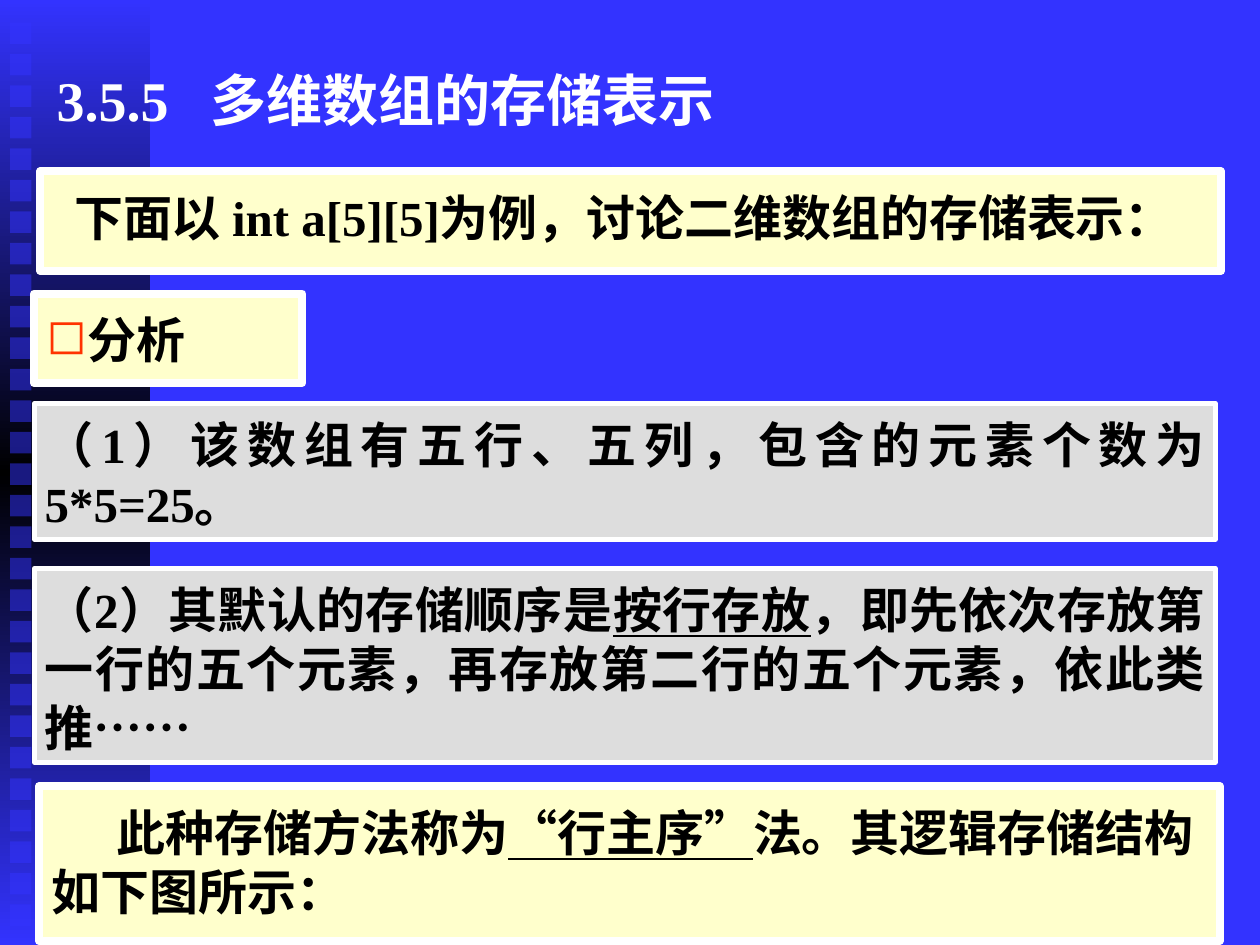
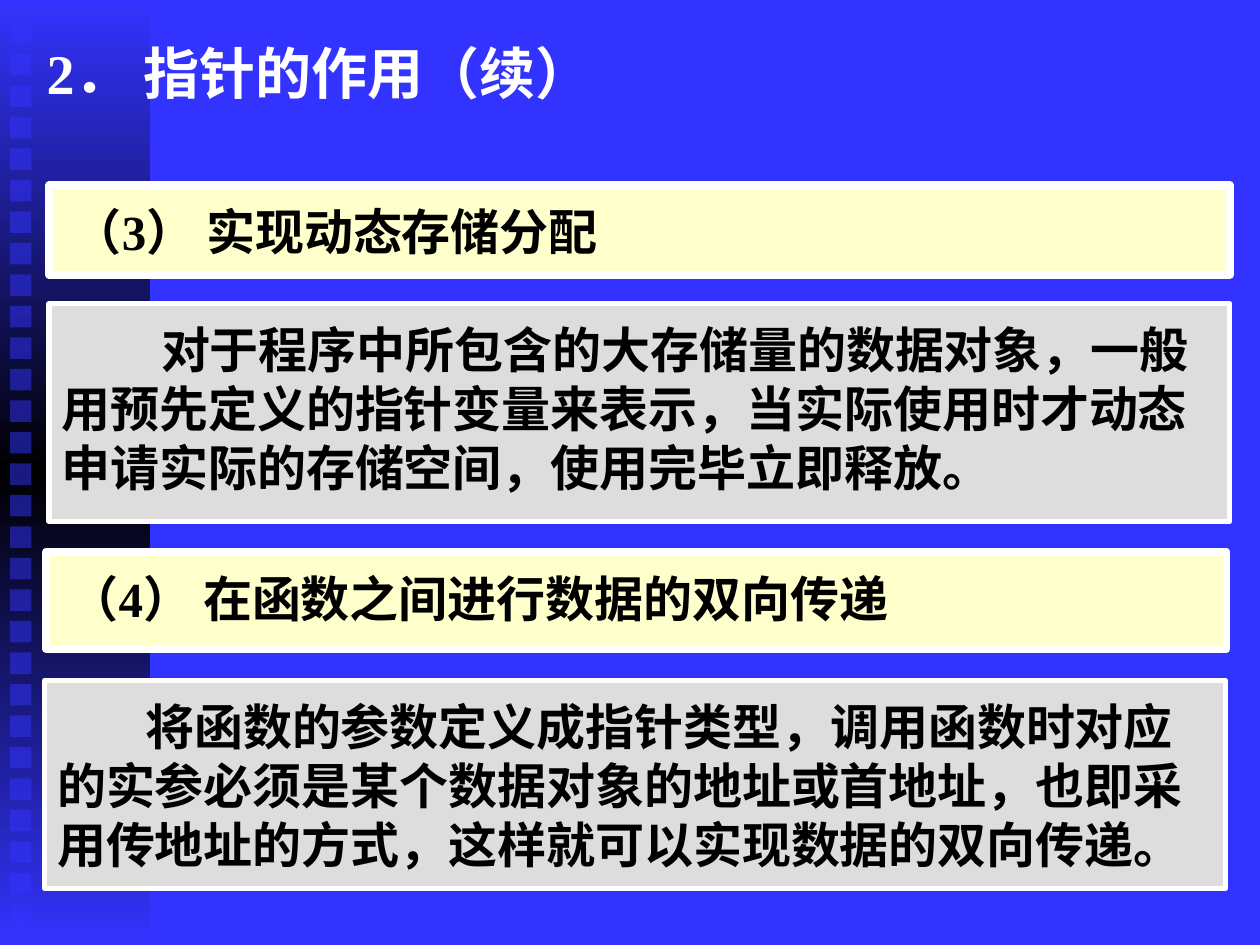
import copy
from dataclasses import dataclass
from typing import NamedTuple

import pptx
import pptx.dml.color
import pptx.enum.shapes
import pptx.enum.text
import pptx.oxml
import pptx.oxml.ns
import pptx.presentation
import pptx.slide
import pptx.util

BLUE = pptx.dml.color.RGBColor(0x33, 0x33, 0xFF)
BLACK = pptx.dml.color.RGBColor(0, 0, 0)
WHITE = pptx.dml.color.RGBColor(0xFF, 0xFF, 0xFF)
CREAM = pptx.dml.color.RGBColor(0xFF, 0xFF, 0xCC)
GRAY = pptx.dml.color.RGBColor(0xDD, 0xDD, 0xDD)
BULLET_RED = "FF3300"

FONT = "Times New Roman"
TITLE_SIZE, BODY_SIZE = 32, 28
WIDTH, HEIGHT = pptx.util.Inches(10), pptx.util.Inches(7.5)
COLUMNS, ROWS = 100, 75
CARD_WIDTH = 93.7
TITLE_ONLY = 5
RECT = pptx.enum.shapes.MSO_SHAPE.RECTANGLE
ALIGN = pptx.enum.text.PP_ALIGN
qn = pptx.oxml.ns.qn


class Box(NamedTuple):
    left: float
    top: float
    width: float
    height: float


class Piece(NamedTuple):
    text: str
    underline: bool = False


class Style(NamedTuple):
    fill: pptx.dml.color.RGBColor
    border: float
    inset_x: float
    inset_y: float


HEADING = Style(CREAM, 4.5, 1, 1.3)
BODY = Style(GRAY, 3, 1, 1.3)
NUMBERED = Style(GRAY, 3, 0.8, 0.9)


@dataclass
class Card:
    box: Box
    style: Style
    pieces: list[Piece]
    indent: float = 0
    justified: bool = False
    bullet: bool = False


@dataclass
class Page:
    title: str
    title_box: Box
    cards: list[Card]


PAGES = [
    Page("3.5.5\t多维数组的存储表示", Box(3.5, 4.3, 82.2, 7.2), [
        Card(Box(3.2, 13.6, CARD_WIDTH, 7.9), HEADING,
             [Piece("下面以 int a[5][5]为例，讨论二维数组的存储表示：")], indent=1.7, justified=True),
        Card(Box(2.7, 23.3, 21.3, 7.1), HEADING, [Piece("分析")], indent=3.3, bullet=True),
        Card(Box(2.75, 32, CARD_WIDTH, 10.8), NUMBERED,
             [Piece("（1）该数组有五行、五列，包含的元素个数为5*5=25。")], justified=True),
        Card(Box(2.75, 45.1, CARD_WIDTH, 15.4), NUMBERED,
             [Piece("（2）其默认的存储顺序是"), Piece("按行存放", True),
              Piece("，即先依次存放第一行的五个元素，再存放第二行的五个元素，依此类推……")],
             justified=True),
        Card(Box(3.1, 62.4, CARD_WIDTH, 12.3), HEADING,
             [Piece("此种存储方法称为"), Piece("“行主序”", True),
              Piece("法。其逻辑存储结构如下图所示：")], indent=5.2),
    ]),
    Page("2． 指针的作用（续）", Box(2.7, 2.8, 84.4, 5.8), [
        Card(Box(3.9, 14.7, CARD_WIDTH, 7.1), HEADING,
             [Piece("（3） 实现动态存储分配")], indent=0.9),
        Card(Box(3.9, 24.1, CARD_WIDTH, 17.3), BODY,
             [Piece("对于程序中所包含的大存储量的数据对象，一般用预先定义的指针变量来表示，"
                    "当实际使用时才动态申请实际的存储空间，使用完毕立即释放。")], indent=7.9),
        Card(Box(3.65, 43.8, CARD_WIDTH, 7.7), HEADING,
             [Piece("（4） 在函数之间进行数据的双向传递")], indent=0.9),
        Card(Box(3.55, 54, CARD_WIDTH, 16.5), BODY,
             [Piece("将函数的参数定义成指针类型，调用函数时对应的实参必须是某个数据对象的地址或首地址，"
                    "也即采用传地址的方式，这样就可以实现数据的双向传递。")], indent=7),
    ]),
]


def cols(n: float) -> int:
    return round(WIDTH * n / COLUMNS)


def rows(n: float) -> int:
    return round(HEIGHT * n / ROWS)


def place(box: Box) -> tuple[int, int, int, int]:
    return cols(box.left), rows(box.top), cols(box.width), rows(box.height)


def add_rect(shapes, box: Box):
    sp = shapes.add_shape(RECT, *place(box))
    sp.shadow.inherit = False
    sp.line.fill.background()
    return sp


def add_run(p, text: str, size: float, colour: pptx.dml.color.RGBColor):
    r = p.add_run()
    r.text = text
    r.font.name, r.font.size, r.font.bold = FONT, pptx.util.Pt(size), True
    r.font.color.rgb = colour
    return r


def decorate_master(prs: pptx.presentation.Presentation, s: pptx.slide.Slide) -> None:
    """Draw the gradient band and its tiles on a slide, then move them to the master."""
    master = prs.slide_master
    master.background.fill.solid()
    master.background.fill.fore_color.rgb = BLUE

    group = s.shapes.add_group_shape()
    band = add_rect(group.shapes, Box(0, 0, 11.9, ROWS))
    band.fill.gradient()
    band.fill.gradient_angle = 90
    stops = band._element.spPr.find(".//" + qn("a:gsLst"))
    stops.insert(1, copy.deepcopy(stops[0]))
    for stop, position, colour in zip(band.fill.gradient_stops, (0, 0.5, 1), (BLUE, BLACK, BLUE)):
        stop.position = position
        stop.color.rgb = colour

    for i in range(29):
        tile = add_rect(group.shapes, Box(0.8, 1.78 + 2.5 * i, 1.7, 1.7))
        tile.fill.solid()
        tile.fill.fore_color.rgb = BLUE
        colour = tile._element.spPr.find(".//" + qn("a:srgbClr"))
        colour.append(pptx.oxml.parse_xml(
            f'<a:alpha {pptx.oxml.ns.nsdecls("a")} val="50000"/>'))

    for number, props in enumerate(group._element.iter(qn("p:cNvPr")), 100):
        props.set("id", str(number))
    master.shapes._spTree.insert(2, group._element)


def add_title(s: pptx.slide.Slide, page: Page) -> None:
    sp = s.shapes.title
    sp.left, sp.top, sp.width, sp.height = place(page.title_box)
    tf = sp.text_frame
    tf.auto_size = pptx.enum.text.MSO_AUTO_SIZE.NONE
    tf.vertical_anchor = pptx.enum.text.MSO_ANCHOR.MIDDLE
    p = tf.paragraphs[0]
    p.alignment = ALIGN.LEFT
    p._p.get_or_add_pPr().append(pptx.oxml.parse_xml(
        f'<a:tabLst {pptx.oxml.ns.nsdecls("a")}><a:tab pos="{cols(12.2)}" algn="l"/></a:tabLst>'))
    add_run(p, page.title, TITLE_SIZE, WHITE)


def add_card(s: pptx.slide.Slide, card: Card) -> None:
    sp = add_rect(s.shapes, card.box)
    sp.fill.solid()
    sp.fill.fore_color.rgb = card.style.fill
    sp.line.color.rgb = WHITE
    sp.line.width = pptx.util.Pt(card.style.border)

    tf = sp.text_frame
    tf.word_wrap = True
    tf.vertical_anchor = pptx.enum.text.MSO_ANCHOR.TOP
    tf.margin_left = tf.margin_right = cols(card.style.inset_x)
    tf.margin_top, tf.margin_bottom = rows(card.style.inset_y), rows(0.5)

    p = tf.paragraphs[0]
    p.alignment = ALIGN.JUSTIFY if card.justified else ALIGN.LEFT
    props = p._p.get_or_add_pPr()
    indent = cols(card.indent)
    props.set("marL", str(indent if card.bullet else 0))
    props.set("indent", str(-indent if card.bullet else indent))
    if card.bullet:
        ns = pptx.oxml.ns.nsdecls("a")
        props.append(pptx.oxml.parse_xml(
            f'<a:buClr {ns}><a:srgbClr val="{BULLET_RED}"/></a:buClr>'))
        props.append(pptx.oxml.parse_xml(f'<a:buChar {ns} char="◻"/>'))
    for piece in card.pieces:
        r = add_run(p, piece.text, BODY_SIZE, BLACK)
        if piece.underline:
            r.font.underline = True


def main() -> None:
    prs = pptx.Presentation()
    prs.slide_width, prs.slide_height = WIDTH, HEIGHT
    for page in PAGES:
        s = prs.slides.add_slide(prs.slide_layouts[TITLE_ONLY])
        if page is PAGES[0]:
            decorate_master(prs, s)
        add_title(s, page)
        for card in page.cards:
            add_card(s, card)
    prs.save("out.pptx")


if __name__ == "__main__":
    main()
